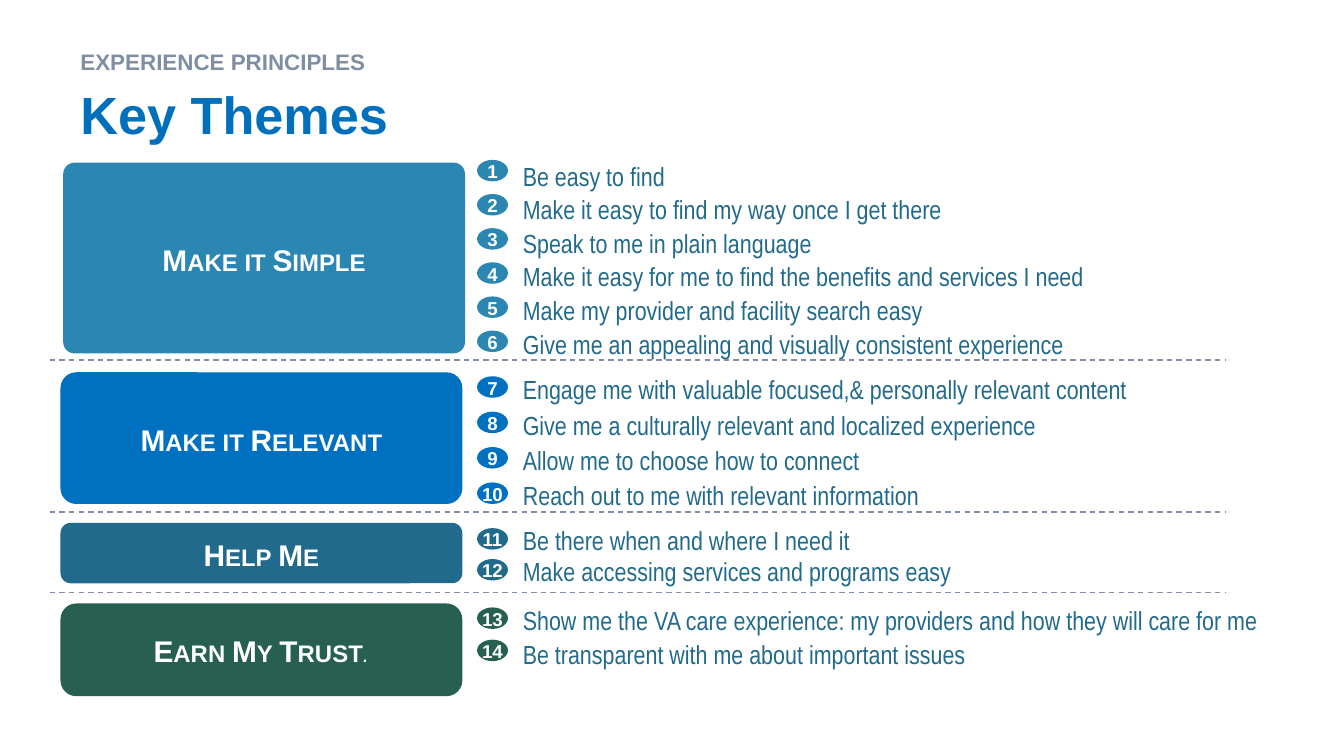
from lxml import etree
from pptx import Presentation
from pptx import util as u
from pptx.dml.color import RGBColor
from pptx.enum import dml, shapes, text
from pptx.oxml import ns

COLORS = {
    "white": "FFFFFF",
    "title": "0070BC",
    "gray": "7F8EA3",
    "simple": "2B86B2",
    "relevant": "0070C0",
    "help": "216A8B",
    "trust": "275F50",
    "principle": "216A8B",
}

FORMATS = {
    "title": {"name": "Arial", "size": u.Pt(28), "bold": True},
    "eyebrow": {"name": "Arial", "size": u.Pt(12), "bold": True},
    "theme": {"name": "Arial", "size": u.Pt(16), "bold": True},
    "period": {"name": "Arial", "size": u.Pt(12), "bold": False, "italic": True},
    "badge": {"name": "Arial", "size": u.Pt(10), "bold": True},
    "principle": {"name": "Arial Narrow", "size": u.Pt(14)},
}

# box: left, top, width, height; badges and texts: first and last top
# principles: wording and text box width
THEMES = [
    {
        "name": "Make it Simple", "color": "simple",
        "box": (0.47, 1.21, 2.99, 1.42), "corner": 0.06,
        "badges": (1.19, 2.46), "texts": (1.19, 2.44),
        "principles": [
            ("Be easy to find", 5.67),
            ("Make it easy to find my way once I get there", 5.67),
            ("Speak to me in plain language", 4.7),
            ("Make it easy for me to find the benefits and services I need", 5.88),
            ("Make my provider and facility search easy", 4.7),
            ("Give me an appealing and visually consistent experience", 4.92),
        ],
    },
    {
        "name": "Make it Relevant", "color": "relevant",
        "box": (0.45, 2.77, 2.99, 0.98), "corner": 0.12,
        "badges": (2.80, 3.59), "texts": (2.78, 3.57),
        "principles": [
            ("Engage me with valuable focused,& personally relevant content", 4.92),
            ("Give me a culturally relevant and localized experience", 4.7),
            ("Allow me to choose how to connect", 4.92),
            ("Reach out to me with relevant information", 4.92),
        ],
    },
    {
        "name": "Help Me", "color": "help",
        "box": (0.45, 3.89, 2.99, 0.45), "corner": 0.17,
        "badges": (3.93, 4.16), "texts": (3.90, 4.13),
        "principles": [
            ("Be there when and where I need it", 4.92),
            ("Make accessing services and programs easy", 4.92),
        ],
    },
    {
        "name": "Earn My Trust", "ending": ".", "color": "trust",
        "box": (0.45, 4.49, 2.99, 0.69), "corner": 0.17,
        "badges": (4.52, 4.76), "texts": (4.50, 4.75),
        "principles": [
            ("Show me the VA care experience: my providers and how they will care for me", 5.88),
            ("Be transparent with me about important issues", 4.7),
        ],
    },
]
DIVIDER_TOPS = (2.68, 3.81, 4.41)


def rgb(color):
    return RGBColor.from_string(COLORS[color])


def inches(*lengths):
    return [u.Inches(length) for length in lengths]


def add_run(paragraph, wording, style, color):
    run = paragraph.add_run()
    run.text = wording
    for name, value in FORMATS[style].items():
        setattr(run.font, name, value)
    run.font.color.rgb = rgb(color)
    return run


def set_frame(frame, margins, anchor):
    frame.word_wrap = True
    frame.vertical_anchor = anchor
    for side, margin in zip(("left", "top", "right", "bottom"), margins):
        setattr(frame, f"margin_{side}", u.Inches(margin))


def add_text(slide, box, wording, style, color, margins=(0, 0, 0, 0), spacing=1.0):
    shape = slide.shapes.add_textbox(*inches(*box))
    set_frame(shape.text_frame, margins, text.MSO_ANCHOR.TOP)
    paragraph = shape.text_frame.paragraphs[0]
    paragraph.line_spacing = spacing
    add_run(paragraph, wording, style, color)


def add_filled_shape(slide, kind, box, color):
    """Add a borderless shape and return it with its centred paragraph."""
    shape = slide.shapes.add_shape(kind, *inches(*box))
    shape.shadow.inherit = False
    shape.fill.solid()
    shape.fill.fore_color.rgb = rgb(color)
    shape.line.fill.background()
    set_frame(shape.text_frame, (0, 0, 0, 0), text.MSO_ANCHOR.MIDDLE)
    paragraph = shape.text_frame.paragraphs[0]
    paragraph.alignment = text.PP_ALIGN.CENTER
    paragraph.line_spacing = 1.06
    return shape, paragraph


def add_theme_box(slide, theme):
    shape, paragraph = add_filled_shape(
        slide, shapes.MSO_SHAPE.ROUNDED_RECTANGLE, theme["box"], theme["color"])
    shape.adjustments[0] = theme["corner"]
    run = add_run(paragraph, theme["name"], "theme", "white")
    run._r.get_or_add_rPr().set("cap", "small")
    if "ending" in theme:
        add_run(paragraph, theme["ending"], "period", "white")


def add_badge(slide, top, number, color):
    paragraph = add_filled_shape(
        slide, shapes.MSO_SHAPE.OVAL, (3.55, top, 0.23, 0.16), color)[1]
    add_run(paragraph, str(number), "badge", "white")


def add_divider(slide, top):
    line = slide.shapes.add_connector(
        shapes.MSO_CONNECTOR.STRAIGHT, *inches(0.37, top, 9.12, top))
    line.line.color.rgb = rgb("gray")
    line.line.width = u.Pt(0.75)
    line.line.dash_style = dml.MSO_LINE.DASH
    etree.SubElement(line._element.spPr, ns.qn("a:effectLst"))


def spread(first, last, count):
    step = (last - first) / (count - 1)
    return [first + step * index for index in range(count)]


def main():
    # Widescreen slide, 16:9
    presentation = Presentation()
    presentation.slide_width = u.Inches(10)
    presentation.slide_height = u.Inches(10 * 9 / 16)
    slide = presentation.slides.add_slide(presentation.slide_layouts[6])

    # Heading
    margins = (0.1, 0.05, 0.1, 0.05)
    add_text(slide, (0.5, 0.56, 8.25, 0.69), "Key Themes", "title", "title", margins)
    add_text(slide, (0.5, 0.27, 8.25, 0.29), "EXPERIENCE PRINCIPLES",
             "eyebrow", "gray", margins, spacing=1.2)

    # Themes with their numbered principles
    number = 0
    for theme in THEMES:
        add_theme_box(slide, theme)
        count = len(theme["principles"])
        rows = zip(theme["principles"], spread(*theme["badges"], count),
                   spread(*theme["texts"], count))
        for (wording, width), badge_top, text_top in rows:
            number += 1
            add_badge(slide, badge_top, number, theme["color"])
            add_text(slide, (3.89, text_top, width, 0.18), wording, "principle", "principle")

    # Dashed lines between themes
    for top in DIVIDER_TOPS:
        add_divider(slide, top)

    presentation.save("out.pptx")


if __name__ == "__main__":
    main()
